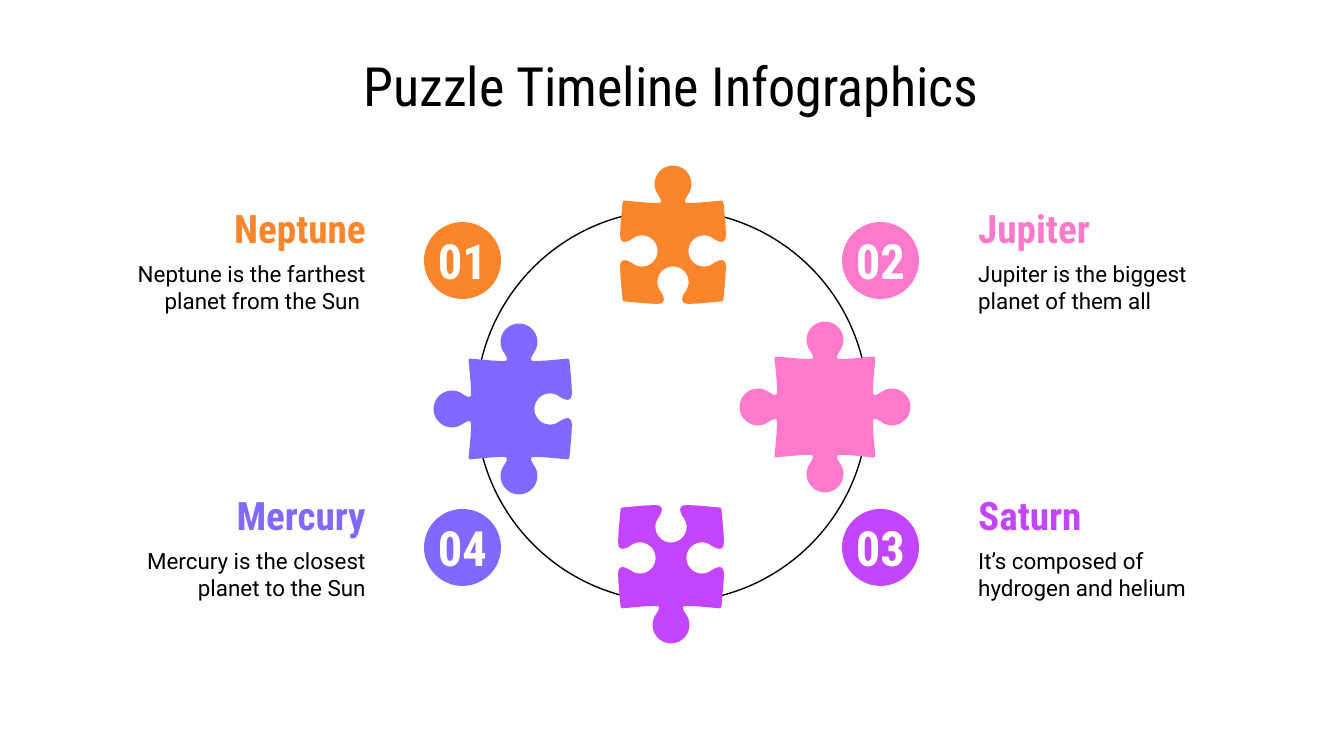
import math

from pptx import Presentation
from pptx.dml.color import RGBColor
from pptx.enum.shapes import MSO_SHAPE
from pptx.enum.text import MSO_ANCHOR, PP_ALIGN
from pptx.util import Inches, Pt

PX = 914400 / 134.4
OVAL = MSO_SHAPE.OVAL
TOP, MIDDLE = MSO_ANCHOR.TOP, MSO_ANCHOR.MIDDLE
LEFT, CENTER, RIGHT = PP_ALIGN.LEFT, PP_ALIGN.CENTER, PP_ALIGN.RIGHT

BLACK = RGBColor(0x00, 0x00, 0x00)
WHITE = RGBColor(0xFF, 0xFF, 0xFF)
ORANGE = RGBColor(0xFA, 0x85, 0x2A)
PINK = RGBColor(0xFD, 0x79, 0xCB)
PURPLE = RGBColor(0xC4, 0x45, 0xFF)
BLUE = RGBColor(0x81, 0x68, 0xFF)

HEADING_FONT = "Roboto Condensed"
BODY_FONT = "Roboto"

TAB, SOCKET = 1, -1
HALF_PIECE = 49
KNOB_RADIUS = 17
KNOB_DISTANCE = 18


def emu(px):
    return round(px * PX)


def edge_profile():
    """Points (along, outward) of a tab edge, from its left to its right corner."""
    rising = [(-49, 0), (-38, -1), (-27, -2), (-16, -2.5), (-12, -2),
              (-10.5, 0), (-11, 3), (-12.5, 6)]
    knob = []
    for degrees in range(218, -39, -8):
        angle = math.radians(degrees)
        knob.append((KNOB_RADIUS * math.cos(angle),
                     KNOB_DISTANCE + KNOB_RADIUS * math.sin(angle)))
    falling = [(-along, outward) for along, outward in reversed(rising)]
    return rising + knob + falling


def piece_outline(edges):
    """Outline around (0, 0); edges are given as top, right, bottom, left."""
    points = []
    for turns, direction in enumerate(edges):
        for along, outward in edge_profile():
            x, y = along, -HALF_PIECE - direction * outward
            for _ in range(turns):
                x, y = -y, x
            points.append((x, y))
    return points


class SlideBuilder:
    def __init__(self, slide):
        self.shapes = slide.shapes

    def fill_text(self, shape, text, size, color, font=HEADING_FONT, bold=False,
                  align=LEFT, anchor=MIDDLE, inset=0.1, wrap=True):
        frame = shape.text_frame
        frame.word_wrap = wrap
        frame.vertical_anchor = anchor
        frame.margin_left = frame.margin_right = Inches(inset)
        frame.margin_top = frame.margin_bottom = Inches(inset)
        paragraph = frame.paragraphs[0]
        paragraph.alignment = align
        run = paragraph.add_run()
        run.text = text
        run.font.name = font
        run.font.size = Pt(size)
        run.font.bold = bold
        run.font.color.rgb = color

    def text(self, left, top, width, height, text, size, color, **style):
        box = self.shapes.add_textbox(emu(left), emu(top), emu(width), emu(height))
        self.fill_text(box, text, size, color, **style)

    def circle(self, left, top, diameter):
        shape = self.shapes.add_shape(
            OVAL, emu(left), emu(top), emu(diameter), emu(diameter))
        shape.shadow.inherit = False
        return shape

    def ring(self, left, top, diameter):
        shape = self.circle(left, top, diameter)
        shape.fill.background()
        shape.line.color.rgb = BLACK
        shape.line.width = Pt(0.75)

    def number(self, left, top, text, color):
        shape = self.circle(left, top, 77)
        shape.fill.solid()
        shape.fill.fore_color.rgb = color
        shape.line.fill.background()
        self.fill_text(shape, text, 26, WHITE, bold=True, align=CENTER,
                       inset=0, wrap=False)

    def puzzle_piece(self, center_x, center_y, edges, color):
        points = [(emu(center_x + x), emu(center_y + y))
                  for x, y in piece_outline(edges)]
        builder = self.shapes.build_freeform(*points[0])
        builder.add_line_segments(points[1:], close=True)
        shape = builder.convert_to_shape()
        shape.shadow.inherit = False
        shape.fill.solid()
        shape.fill.fore_color.rgb = color
        shape.line.color.rgb = color
        shape.line.width = Pt(1.5)

    def planet(self, number, name, description, color, on_left, top):
        number_left, text_left, align = (
            (424, 102, RIGHT) if on_left else (842, 965, LEFT))
        self.number(number_left, top, number, color)
        self.text(text_left, top - 26, 277, 63, name, 21, color,
                  bold=True, align=align)
        self.text(text_left, top + 25, 277, 78, description, 12, BLACK,
                  font=BODY_FONT, align=align, anchor=TOP)


PLANETS = [
    ("01", "Neptune", "Neptune is the farthest planet from the Sun ", ORANGE, True, 222),
    ("02", "Jupiter", "Jupiter is the biggest planet of them all", PINK, False, 222),
    ("03", "Saturn", "It’s composed of hydrogen and helium", PURPLE, False, 509),
    ("04", "Mercury", "Mercury is the closest planet to the Sun", BLUE, True, 509),
]

PIECES = [
    (519, 409, (TAB, SOCKET, TAB, TAB), BLUE),
    (671, 558, (SOCKET, SOCKET, TAB, SOCKET), PURPLE),
    (673, 251, (TAB, SOCKET, SOCKET, SOCKET), ORANGE),
    (825, 407, (TAB, TAB, TAB, TAB), PINK),
]


def main():
    presentation = Presentation()
    presentation.slide_width = emu(1344)
    presentation.slide_height = emu(756)
    slide = presentation.slides.add_slide(presentation.slide_layouts[6])
    builder = SlideBuilder(slide)

    builder.ring(476, 210, 392)
    builder.text(60, 67, 1223, 36, "Puzzle Timeline Infographics", 29, BLACK,
                 align=CENTER)
    for planet in PLANETS:
        builder.planet(*planet)
    for piece in PIECES:
        builder.puzzle_piece(*piece)

    presentation.save("out.pptx")


if __name__ == "__main__":
    main()
